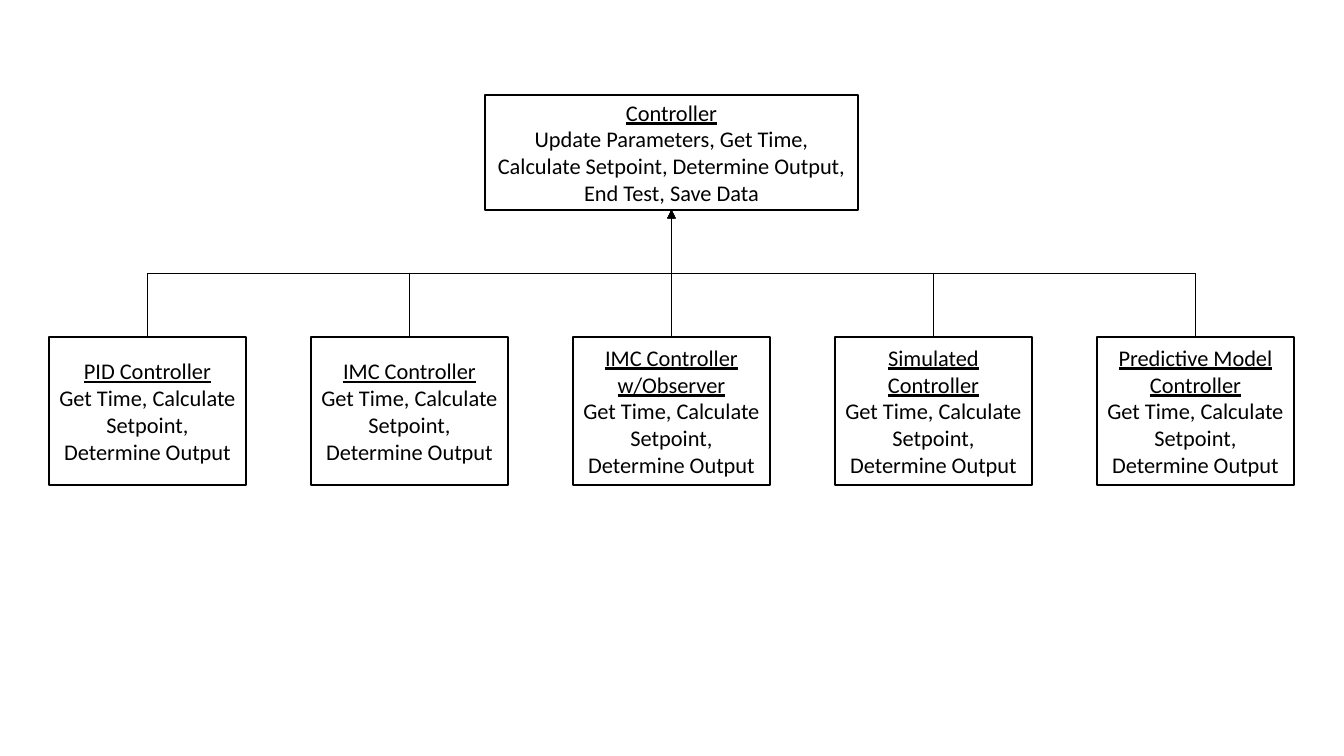
import pptx
import pptx.util
import pptx.dml.color
import pptx.enum.shapes
import pptx.enum.text
import pptx.oxml
import pptx.oxml.ns

EMU_PER_PX = 914400 / 100.8
COLORS = {"ink": "000000", "paper": "FFFFFF"}
FONT_NAME, FONT_POINTS = "Calibri", 16
BASE_METHODS = ("Update Parameters, Get Time, Calculate Setpoint, "
                "Determine Output, End Test, Save Data")
CHILD_METHODS = "Get Time, Calculate Setpoint, Determine Output"
CHILD_NAMES = ["PID Controller", "IMC Controller", "IMC Controller w/Observer",
               "Simulated Controller", "Predictive Model Controller"]


def px(length):
    return pptx.util.Emu(round(length * EMU_PER_PX))


def color(name):
    return pptx.dml.color.RGBColor.from_string(COLORS[name])


def add_class_box(page, left, top, width, height, name, methods):
    """A bordered box with an underlined class name above its methods."""
    box = page.shapes.add_shape(pptx.enum.shapes.MSO_SHAPE.RECTANGLE,
                                px(left), px(top), px(width), px(height))
    box.shadow.inherit = False
    box.fill.solid()
    box.fill.fore_color.rgb = color("paper")
    box.line.color.rgb = color("ink")
    box.line.width = pptx.util.Pt(1)
    frame = box.text_frame
    frame.word_wrap = True
    frame.vertical_anchor = pptx.enum.text.MSO_ANCHOR.MIDDLE
    frame.text = f"{name}\n{methods}"
    for para, underlined in zip(frame.paragraphs, (True, False)):
        para.alignment = pptx.enum.text.PP_ALIGN.CENTER
        para.font.name = FONT_NAME
        para.font.size = pptx.util.Pt(FONT_POINTS)
        para.font.color.rgb = color("ink")
        para.font.underline = underlined
    return box


def add_inheritance_arrow(page, child, parent):
    """An elbow arrow from the child's top up to the parent's bottom."""
    start_x, start_y = child.left + child.width // 2, child.top
    end_x, end_y = parent.left + parent.width // 2, parent.top + parent.height
    arrow = page.shapes.add_connector(pptx.enum.shapes.MSO_CONNECTOR.ELBOW,
                                      start_x, start_y, end_x, end_y)
    arrow.begin_connect(child, 0)
    arrow.end_connect(parent, 2)

    # Turn the elbow by a quarter so that it leaves and arrives vertically
    rise, run = start_y - end_y, abs(start_x - end_x)
    arrow.left = (start_x + end_x - rise) // 2
    arrow.top = (start_y + end_y - run) // 2
    arrow.width, arrow.height = rise, run
    from_left = start_x < end_x
    frame = arrow._element.spPr.xfrm
    frame.rot = 90 if from_left else 270
    frame.flipH, frame.flipV = from_left, True

    # Thin line, arrowhead, no shadow
    arrow.line.color.rgb = color("ink")
    arrow.line.width = pptx.util.Pt(0.5)
    line = arrow.line._get_or_add_ln()
    line.append(pptx.oxml.parse_xml(
        f'<a:tailEnd {pptx.oxml.ns.nsdecls("a")} type="triangle"/>'))
    arrow._element.spPr.append(pptx.oxml.parse_xml(
        f'<a:effectLst {pptx.oxml.ns.nsdecls("a")}/>'))


def add_class_tree(page, left, top, width, height):
    """The base class on top, its subclasses in an even row below."""
    base_width, base_height = 373, 115
    child_width, child_height = 197, 148
    base = add_class_box(page, left + (width - base_width) / 2, top,
                         base_width, base_height, "Controller", BASE_METHODS)
    pitch = (width - child_width) / (len(CHILD_NAMES) - 1)
    children = [add_class_box(page, left + column * pitch,
                              top + height - child_height,
                              child_width, child_height, name, CHILD_METHODS)
                for column, name in enumerate(CHILD_NAMES)]
    for child in children:
        add_inheritance_arrow(page, child, base)


def main():
    deck = pptx.Presentation()
    deck.slide_width, deck.slide_height = px(1344), px(756)
    page = deck.slides.add_slide(deck.slide_layouts[6])
    add_class_tree(page, 49, 95, 1245, 390)
    deck.save("out.pptx")


if __name__ == "__main__":
    main()
